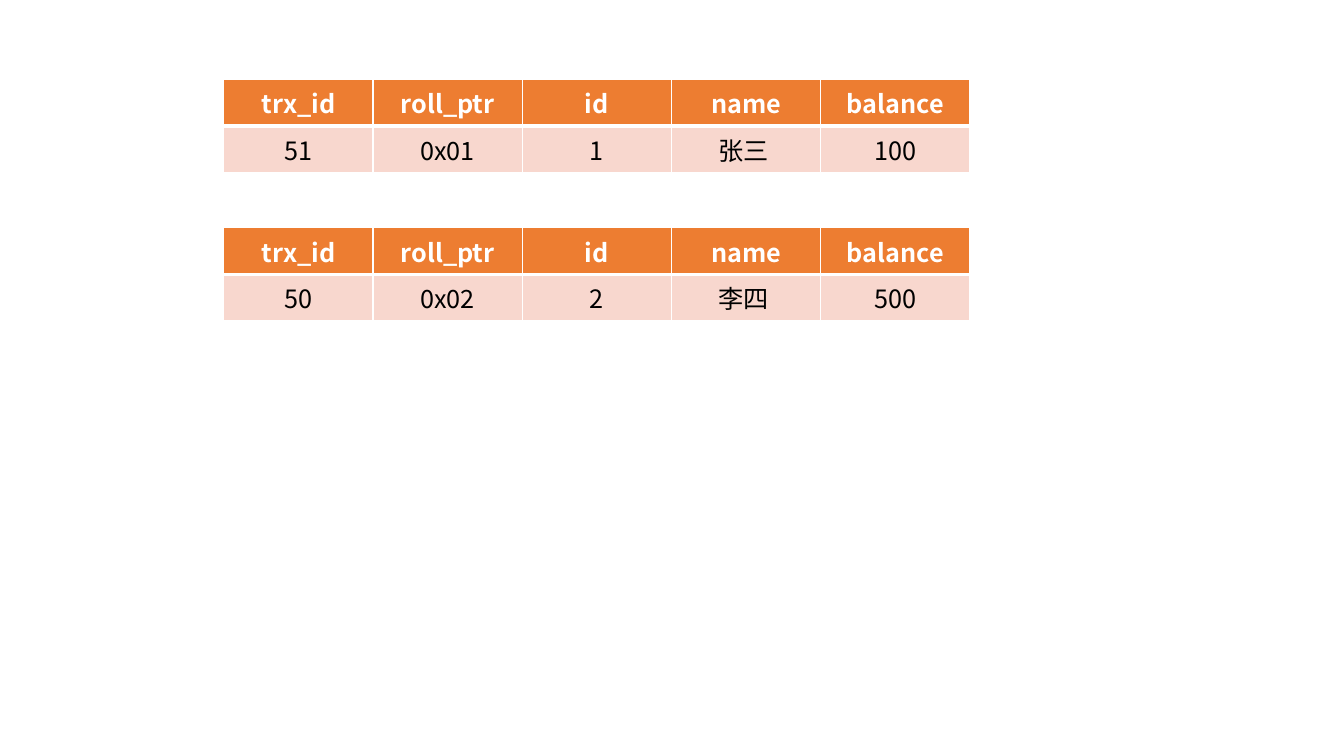
from lxml.etree import SubElement
from pptx import Presentation
from pptx.dml.color import RGBColor
from pptx.enum.text import PP_ALIGN as Align
from pptx.oxml.ns import qn
from pptx.util import Inches, Pt

FONT = "Noto Sans CJK SC"
HEADERS = ["trx_id", "roll_ptr", "id", "name", "balance"]
RECORDS = [
    ["51", "0x01", "1", "张三 ", "100"],
    ["50", "0x02", "2", "李四 ", "500"],
]
COLUMN_WIDTH, ROW_HEIGHT = 1.48, 0.41
TABLE_LEFT, FIRST_TOP, TABLE_STEP = 2.22, 0.79, 1.47


def color(hex_code):
    """Turn a hex string into a colour."""
    return RGBColor.from_string(hex_code)


def set_borders(cell, widths):
    """Draw white cell borders with the given widths in points by side."""
    properties = cell._tc.get_or_add_tcPr()
    for side, width in widths.items():
        line = SubElement(properties, qn(f"a:ln{side}"), w=str(Pt(width)))
        fill = SubElement(line, qn("a:solidFill"))
        SubElement(fill, qn("a:srgbClr"), val="FFFFFF")


def fill_cell(cell, text, is_header):
    """Write and format one table cell."""
    set_borders(cell, {"L": 1, "R": 1, "T": 1 if is_header else 3, "B": 3 if is_header else 1})
    cell.fill.solid()
    cell.fill.fore_color.rgb = color("ED7D31" if is_header else "F8D7CE")
    paragraph = cell.text_frame.paragraphs[0]
    paragraph.alignment = Align.CENTER
    run = paragraph.add_run()
    run.text = text
    font = run.font
    font.name, font.size, font.bold = FONT, Pt(18), is_header
    font.color.rgb = color("FFFFFF" if is_header else "000000")
    SubElement(font._element, qn("a:ea"), typeface=FONT)


def add_record_table(slide, top, record):
    """Add a table with the header row and one record."""
    rows = [HEADERS, record]
    table = slide.shapes.add_table(
        len(rows), len(HEADERS), Inches(TABLE_LEFT), Inches(top),
        Inches(COLUMN_WIDTH * len(HEADERS)), Inches(ROW_HEIGHT * len(rows)),
    ).table
    for row_index, texts in enumerate(rows):
        for column_index, text in enumerate(texts):
            fill_cell(table.cell(row_index, column_index), text, row_index == 0)


def main():
    """Build the slide and save it."""
    presentation = Presentation()
    presentation.slide_width, presentation.slide_height = Inches(13.33), Inches(7.5)
    slide = presentation.slides.add_slide(presentation.slide_layouts[6])
    for index, record in enumerate(RECORDS):
        add_record_table(slide, FIRST_TOP + index * TABLE_STEP, record)
    presentation.save("out.pptx")


if __name__ == "__main__":
    main()
